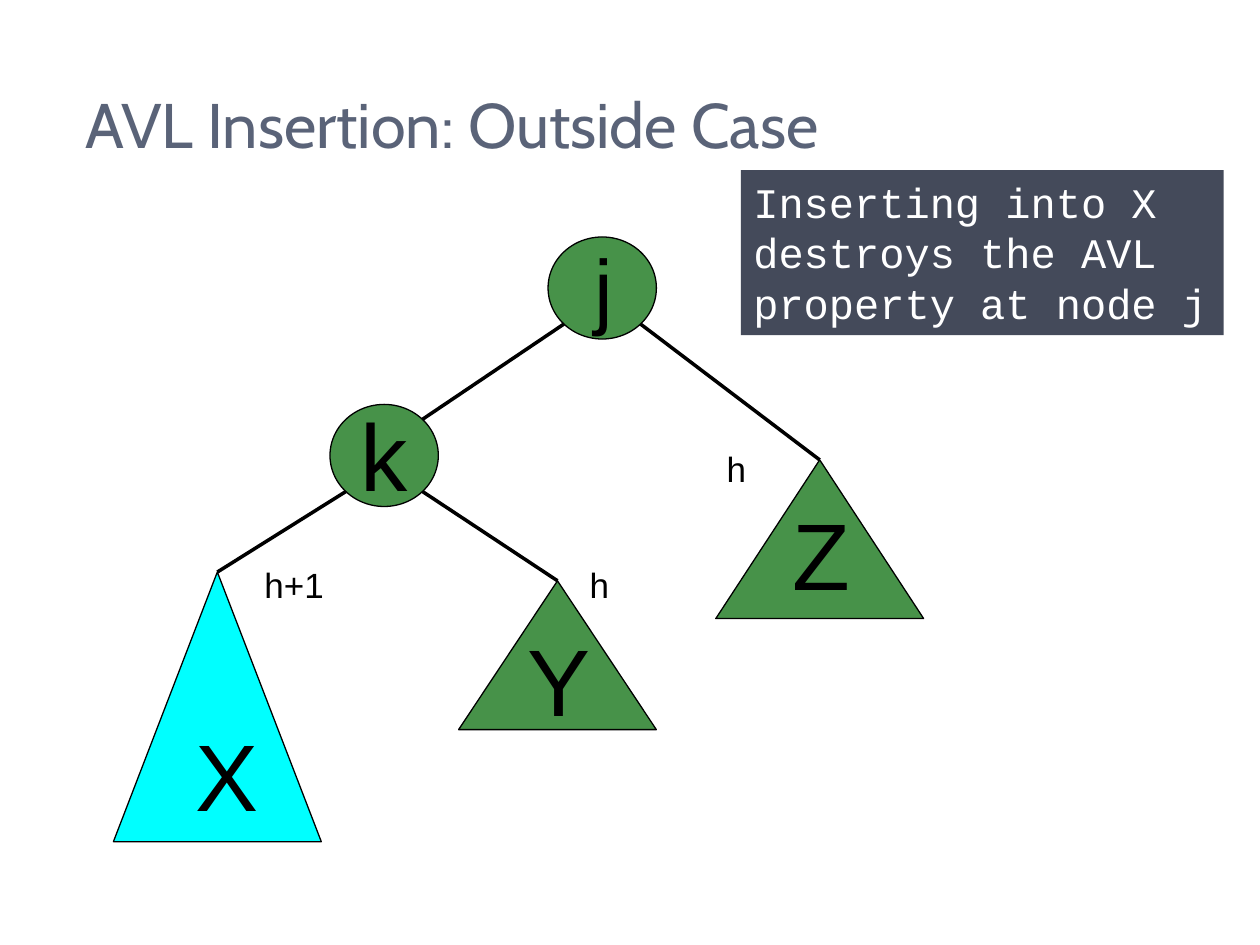
from math import sqrt
from pptx import Presentation
from pptx.dml.color import RGBColor
from pptx.enum.shapes import MSO_CONNECTOR, MSO_SHAPE
from pptx.enum.text import MSO_ANCHOR, MSO_AUTO_SIZE, PP_ALIGN
from pptx.oxml.ns import qn
from pptx.util import Pt
from lxml.etree import SubElement

BLACK = RGBColor(0x00, 0x00, 0x00)
WHITE = RGBColor(0xFF, 0xFF, 0xFF)
GREEN = RGBColor(0x47, 0x92, 0x49)
CYAN = RGBColor(0x00, 0xFF, 0xFF)
SLATE = RGBColor(0x44, 0x4A, 0x5A)
BLUE = RGBColor(0x5A, 0x63, 0x78)

TITLE = "AVL Insertion: Outside Case"
NOTE = "Inserting into X\ndestroys the AVL\nproperty at node j"

# name: kind, fill, box (left, top, width, height)
NODES = {
    "j": (MSO_SHAPE.OVAL, GREEN, (313.2, 135.4, 61.9, 58.3)),
    "k": (MSO_SHAPE.OVAL, GREEN, (188.6, 231.1, 61.9, 58.3)),
    "Y": (MSO_SHAPE.ISOSCELES_TRIANGLE, GREEN, (262.1, 331.9, 113, 85)),
    "Z": (MSO_SHAPE.ISOSCELES_TRIANGLE, GREEN, (409, 262.8, 118.8, 90.7)),
    "X": (MSO_SHAPE.ISOSCELES_TRIANGLE, CYAN, (64.8, 326.9, 118.8, 154.1)),
}
# name, left, top, height, size
LETTERS = [
    ("j", 332.6, 131, 65.5, 48),
    ("k", 198.7, 223.2, 72, 54),
    ("X", 104.4, 406.1, 72, 54),
    ("Y", 294.5, 352.1, 72, 54),
    ("Z", 445.7, 280.1, 72, 54),
]
# parent, child, side of the parent
EDGES = [("j", "k", -1), ("j", "Z", 1), ("k", "X", -1), ("k", "Y", 1)]
# text, left, top, width
HEIGHTS = [("h", 408.2, 252, 25.9), ("h+1", 144, 318.2, 48.2),
           ("h", 329.8, 318.2, 25.9)]

deck = Presentation()
deck.slide_width, deck.slide_height = Pt(720), Pt(540)
slide = deck.slides.add_slide(deck.slide_layouts[6])
shapes = slide.shapes


def style(frame, text, font, size, color):
    frame.text = text
    for para in frame.paragraphs:
        para.alignment = PP_ALIGN.LEFT
        for run in para.runs:
            run.font.name = font
            run.font.size = Pt(size)
            run.font.color.rgb = color


def label(text, box, font, size, color, wrap=True):
    frame = shapes.add_textbox(*map(Pt, box)).text_frame
    frame.word_wrap = wrap
    style(frame, text, font, size, color)
    return frame


def block(kind, box, fill):
    shape = shapes.add_shape(kind, *map(Pt, box))
    shape.shadow.inherit = False
    shape.fill.solid()
    shape.fill.fore_color.rgb = fill
    return shape


def corner(name, dx, dy):
    """Point on a node's ellipse at 45 degrees, toward side dx, dy."""
    left, top, width, height = NODES[name][2]
    reach = sqrt(0.5)
    return (left + width / 2 * (1 + dx * reach),
            top + height / 2 * (1 + dy * reach))


def apex(name):
    left, top, width, _ = NODES[name][2]
    return left + width / 2, top


drawn = {}
for name, (kind, fill, box) in NODES.items():
    node = drawn[name] = block(kind, box, fill)
    node.line.color.rgb = BLACK
    node.line.width = Pt(0.75)

for name, left, top, height, size in LETTERS:
    frame = label(name, (left, top, 38.2, height), "Arial", size, BLACK)
    frame.auto_size = MSO_AUTO_SIZE.SHAPE_TO_FIT_TEXT
    props = frame.paragraphs[0]._p.get_or_add_pPr()
    gap = SubElement(props, qn("a:spcBef"))
    SubElement(gap, qn("a:spcPct"), val="50000")

for parent, child, side in EDGES:
    start = corner(parent, side, 1)
    leaf = NODES[child][0] == MSO_SHAPE.ISOSCELES_TRIANGLE
    end = apex(child) if leaf else corner(child, -side, -1)
    edge = shapes.add_connector(MSO_CONNECTOR.STRAIGHT, *map(Pt, start + end))
    edge.line.color.rgb = BLACK
    edge.line.width = Pt(2)
    SubElement(edge._element.spPr, qn("a:effectLst"))
    if leaf:
        edge.end_connect(drawn[child], 0)

note = block(MSO_SHAPE.RECTANGLE, (423.4, 97.2, 275.8, 94.3), SLATE)
note.line.fill.background()
note.text_frame.word_wrap = False
note.text_frame.vertical_anchor = MSO_ANCHOR.TOP
style(note.text_frame, NOTE, "Courier New", 24, WHITE)

title = label(TITLE, (41.8, 38.9, 615.6, 63.4), "Cabin", 36, BLUE)
title.vertical_anchor = MSO_ANCHOR.MIDDLE

for text, left, top, width in HEIGHTS:
    label(text, (left, top, width, 31), "Arial", 20, BLACK, wrap=False)

deck.save("out.pptx")
